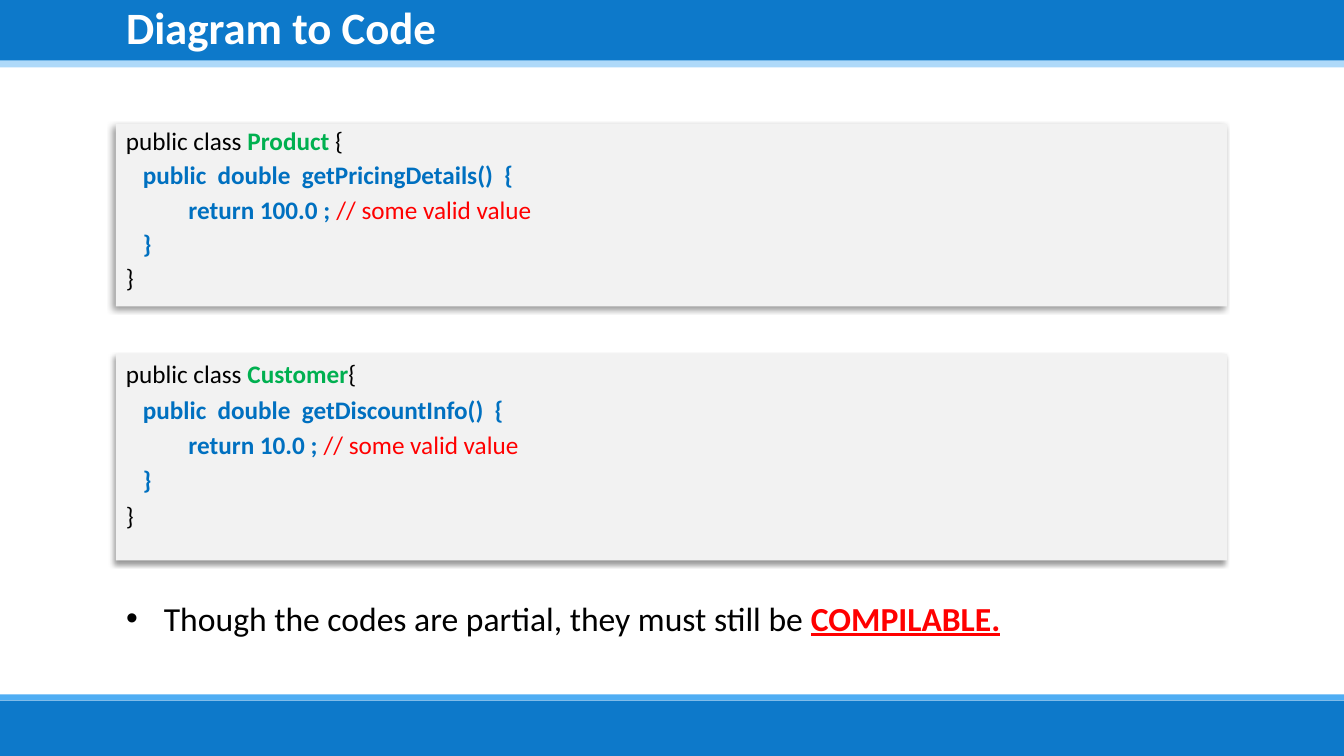
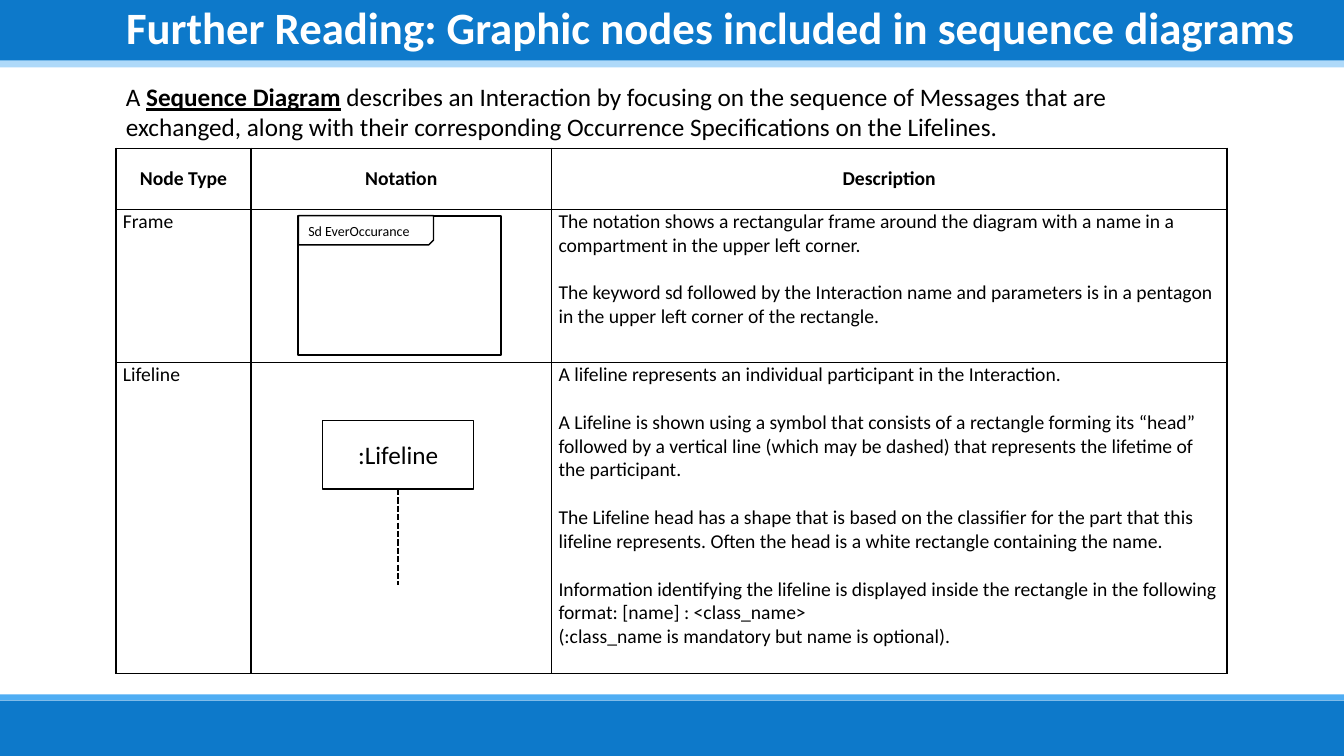
from lxml import etree
from pptx import Presentation
from pptx.dml.color import RGBColor
from pptx.enum.dml import MSO_LINE
from pptx.enum.shapes import MSO_CONNECTOR, MSO_SHAPE
from pptx.enum.text import MSO_ANCHOR, MSO_AUTO_SIZE, PP_ALIGN
from pptx.oxml.ns import qn
from pptx.util import Inches, Pt

BLACK = RGBColor(0x00, 0x00, 0x00)
WHITE = RGBColor(0xFF, 0xFF, 0xFF)
RED = RGBColor(0xFF, 0x00, 0x00)
GREEN = RGBColor(0x00, 0xB0, 0x50)
CODE_BLUE = RGBColor(0x00, 0x70, 0xC0)
CODE_GRAY = RGBColor(0xF2, 0xF2, 0xF2)
BAND_BLUE = RGBColor(0x0D, 0x79, 0xCA)
BAND_LIGHT = RGBColor(0x4F, 0xAD, 0xF3)
BAND_PALE = RGBColor(0x8C, 0xC9, 0xF7)

FONT = "Calibri"
LEFT = 1.15
WIDTH = 11.02
SLIDE_WIDTH = 13.33
TITLE_LAYOUT_WITH_BODY = 1
TITLE_ONLY_LAYOUT = 5

BANDS = [
    (0, 0.67, BAND_PALE, 70),
    (0, 0.6, BAND_BLUE, 100),
    (6.89, 0.06, BAND_LIGHT, 100),
    (6.95, 0.55, BAND_BLUE, 100),
]

COLUMN_WIDTHS = [1.34, 2.98, 6.7]
ROW_HEIGHTS = [0.61, 1.52, 3.08]
BLANK_LINE = 17
HEADINGS = ["Node Type", "Notation", "Description"]
FRAME_TEXT = [
    ("The notation shows a rectangular frame around the diagram with a name in a "
     "compartment in the upper left corner.", 0),
    ("The keyword sd followed by the Interaction name and parameters is in a pentagon "
     "in the upper left corner of the rectangle.", BLANK_LINE),
]
LIFELINE_TEXT = [
    ("A lifeline represents an individual participant in the Interaction.", 0),
    ("A Lifeline is shown using a symbol that consists of a rectangle forming its “head” "
     "followed by a vertical line (which may be dashed) that represents the lifetime of "
     "the participant.", BLANK_LINE),
    ("The Lifeline head has a shape that is based on the classifier for the part that this "
     "lifeline represents. Often the head is a white rectangle containing the name.",
     BLANK_LINE),
    ("Information identifying the lifeline is displayed inside the rectangle in the "
     "following format: [name] : <class_name>", BLANK_LINE),
    ("(:class_name is mandatory but name is optional).", 0),
]


def inches(*lengths):
    return [Inches(length) for length in lengths]


def add_box(shapes, kind, box, fill, line_width=None):
    shape = shapes.add_shape(kind, *inches(*box))
    shape.shadow.inherit = False
    shape.fill.solid()
    shape.fill.fore_color.rgb = fill
    if line_width is None:
        shape.line.fill.background()
    else:
        shape.line.color.rgb = BLACK
        shape.line.width = Pt(line_width)
    return shape


def add_bands(presentation, slide):
    master_tree = presentation.slide_master.shapes.element
    for number, (top, height, color, opacity) in enumerate(BANDS):
        band = add_box(slide.shapes, MSO_SHAPE.RECTANGLE,
                       (0, top, SLIDE_WIDTH, height), color)
        if opacity < 100:
            color_element = band.element.find(".//" + qn("a:srgbClr"))
            alpha = etree.SubElement(color_element, qn("a:alpha"))
            alpha.set("val", str(opacity * 1000))
        band.element.find(".//" + qn("p:cNvPr")).set("id", str(100 + number))
        master_tree.insert(2 + number, band.element)


def format_paragraph(paragraph, size, color=BLACK, bold=False, align=PP_ALIGN.LEFT,
                     space_before=0, line_spacing=1.0):
    paragraph.alignment = align
    paragraph.space_before = Pt(space_before)
    paragraph.line_spacing = line_spacing
    font = paragraph.font
    font.name = FONT
    font.size = Pt(size)
    font.bold = bold
    font.color.rgb = color


def add_runs(paragraph, runs):
    for text, color, bold, underline in runs:
        run = paragraph.add_run()
        run.text = text
        run.font.color.rgb = color
        run.font.bold = bold
        if underline:
            run.font.underline = True


def place(shape, *box):
    shape.left, shape.top, shape.width, shape.height = inches(*box)


def set_title(slide, text):
    title = slide.shapes.title
    place(title, LEFT, 0, SLIDE_WIDTH - LEFT, 0.6)
    frame = title.text_frame
    frame.text = text
    frame.auto_size = MSO_AUTO_SIZE.NONE
    frame.vertical_anchor = MSO_ANCHOR.MIDDLE
    format_paragraph(frame.paragraphs[0], 32, WHITE, bold=True, line_spacing=0.9)


def add_text(shapes, box, runs, size):
    text_box = shapes.add_textbox(*inches(*box))
    text_box.text_frame.word_wrap = True
    paragraph = text_box.text_frame.paragraphs[0]
    format_paragraph(paragraph, size)
    add_runs(paragraph, runs)


def code_lines(class_name, opening, method, value):
    return [
        [("public class ", BLACK, False, False), (class_name, GREEN, True, False),
         (opening, BLACK, False, False)],
        [(f"   public  double  {method}()  {{", CODE_BLUE, True, False)],
        [(f"           return {value} ; ", CODE_BLUE, True, False),
         ("// some valid value", RED, False, False)],
        [("   }", CODE_BLUE, True, False)],
        [("}", BLACK, False, False)],
    ]


def add_code(slide, top, height, lines, space_before, line_spacing):
    panel = add_box(slide.shapes, MSO_SHAPE.RECTANGLE, (LEFT, top, WIDTH, height), CODE_GRAY)
    effects = panel.element.find(".//" + qn("a:effectLst"))
    shadow = etree.SubElement(effects, qn("a:outerShdw"), blurRad=str(Pt(4)),
                              dist=str(Pt(3)), dir=str(135 * 60000), algn="tr",
                              rotWithShape="0")
    color = etree.SubElement(shadow, qn("a:srgbClr"), val="000000")
    etree.SubElement(color, qn("a:alpha"), val="40000")
    frame = panel.text_frame
    frame.word_wrap = True
    frame.vertical_anchor = MSO_ANCHOR.TOP
    for index, runs in enumerate(lines):
        paragraph = frame.add_paragraph() if index else frame.paragraphs[0]
        format_paragraph(paragraph, 18, space_before=space_before if index else 0,
                         line_spacing=line_spacing)
        add_runs(paragraph, runs)


def set_bullet(slide, runs):
    body = slide.placeholders[1]
    place(body, LEFT, 5.88, WIDTH, 0.5)
    body.text_frame.auto_size = MSO_AUTO_SIZE.NONE
    paragraph = body.text_frame.paragraphs[0]
    format_paragraph(paragraph, 24)
    add_runs(paragraph, runs)


def format_cell(cell):
    cell.fill.background()
    cell.margin_left = cell.margin_right = Inches(0.07)
    cell.margin_top = cell.margin_bottom = 0
    properties = cell._tc.get_or_add_tcPr()
    for index, side in enumerate(("a:lnL", "a:lnR", "a:lnT", "a:lnB")):
        border = etree.Element(qn(side), w=str(Pt(1)))
        fill = etree.SubElement(border, qn("a:solidFill"))
        etree.SubElement(fill, qn("a:srgbClr"), val=str(BLACK))
        properties.insert(index, border)


def fill_cell(cell, paragraphs, heading=False):
    frame = cell.text_frame
    cell.vertical_anchor = MSO_ANCHOR.MIDDLE if heading else MSO_ANCHOR.TOP
    for index, (text, space_before) in enumerate(paragraphs):
        paragraph = frame.add_paragraph() if index else frame.paragraphs[0]
        paragraph.text = text
        format_paragraph(paragraph, 14, bold=heading, space_before=space_before,
                         align=PP_ALIGN.CENTER if heading else PP_ALIGN.LEFT)


def add_node_table(slide):
    box = (LEFT, 1.47, sum(COLUMN_WIDTHS), sum(ROW_HEIGHTS))
    table = slide.shapes.add_table(len(ROW_HEIGHTS), len(COLUMN_WIDTHS), *inches(*box)).table
    table.first_row = table.horz_banding = False
    for column, width in zip(table.columns, COLUMN_WIDTHS):
        column.width = Inches(width)
    for row, height in zip(table.rows, ROW_HEIGHTS):
        row.height = Inches(height)
    for cell in table.iter_cells():
        format_cell(cell)
    for column, heading in enumerate(HEADINGS):
        fill_cell(table.cell(0, column), [(heading, 0)], heading=True)
    nodes = [("Frame", FRAME_TEXT), ("Lifeline", LIFELINE_TEXT)]
    for row, (name, description) in enumerate(nodes, start=1):
        fill_cell(table.cell(row, 0), [(name, 0)])
        fill_cell(table.cell(row, 2), description)


def add_frame_notation(slide):
    shapes = slide.shapes.add_group_shape().shapes
    add_box(shapes, MSO_SHAPE.RECTANGLE, (2.96, 2.14, 2.01, 1.38), WHITE, 1.5)
    tab = add_box(shapes, MSO_SHAPE.SNIP_1_RECTANGLE, (2.96, 2.14, 1.34, 0.29), WHITE, 1)
    tab.element.find(".//" + qn("a:xfrm")).set("flipV", "1")
    add_text(shapes, (2.96, 2.16, 1.34, 0.25),
             [("Sd EverOccurance", BLACK, False, False)], 10)


def add_lifeline_notation(slide):
    shapes = slide.shapes.add_group_shape().shapes
    head = add_box(shapes, MSO_SHAPE.RECTANGLE, (3.2, 4.17, 1.5, 0.68), WHITE, 1)
    head.text_frame.text = ":Lifeline"
    head.text_frame.vertical_anchor = MSO_ANCHOR.MIDDLE
    format_paragraph(head.text_frame.paragraphs[0], 18, align=PP_ALIGN.CENTER)
    stem = shapes.add_connector(MSO_CONNECTOR.STRAIGHT, *inches(3.95, 4.85, 3.95, 5.8))
    stem.line.color.rgb = BLACK
    stem.line.width = Pt(1.5)
    stem.line.dash_style = MSO_LINE.SQUARE_DOT
    etree.SubElement(stem.element.spPr, qn("a:effectLst"))


def add_code_slide(presentation):
    slide = presentation.slides.add_slide(presentation.slide_layouts[TITLE_LAYOUT_WITH_BODY])
    add_bands(presentation, slide)
    set_title(slide, "Diagram to Code")
    add_code(slide, 1.23, 1.81, code_lines("Product", " {", "getPricingDetails", "100.0"),
             5, 0.9)
    add_code(slide, 3.51, 2.05, code_lines("Customer", "{", "getDiscountInfo", "10.0"),
             3.6, 1.0)
    set_bullet(slide, [
        ("Though the codes are partial, they must still be ", BLACK, False, False),
        ("COMPILABLE.", RED, True, True),
    ])


def add_reading_slide(presentation):
    slide = presentation.slides.add_slide(presentation.slide_layouts[TITLE_ONLY_LAYOUT])
    set_title(slide, "Further Reading: Graphic nodes included in sequence diagrams")
    add_node_table(slide)
    add_text(slide.shapes, (LEFT, 0.76, WIDTH, 0.71), [
        ("A ", BLACK, False, False),
        ("Sequence Diagram", BLACK, True, True),
        (" describes an Interaction by focusing on the sequence of Messages that are "
         "exchanged, along with their corresponding Occurrence Specifications on the "
         "Lifelines.", BLACK, False, False),
    ], 18)
    add_lifeline_notation(slide)
    add_frame_notation(slide)


def main():
    presentation = Presentation()
    presentation.slide_width, presentation.slide_height = inches(SLIDE_WIDTH, 7.5)
    add_code_slide(presentation)
    add_reading_slide(presentation)
    presentation.save("out.pptx")


if __name__ == "__main__":
    main()
